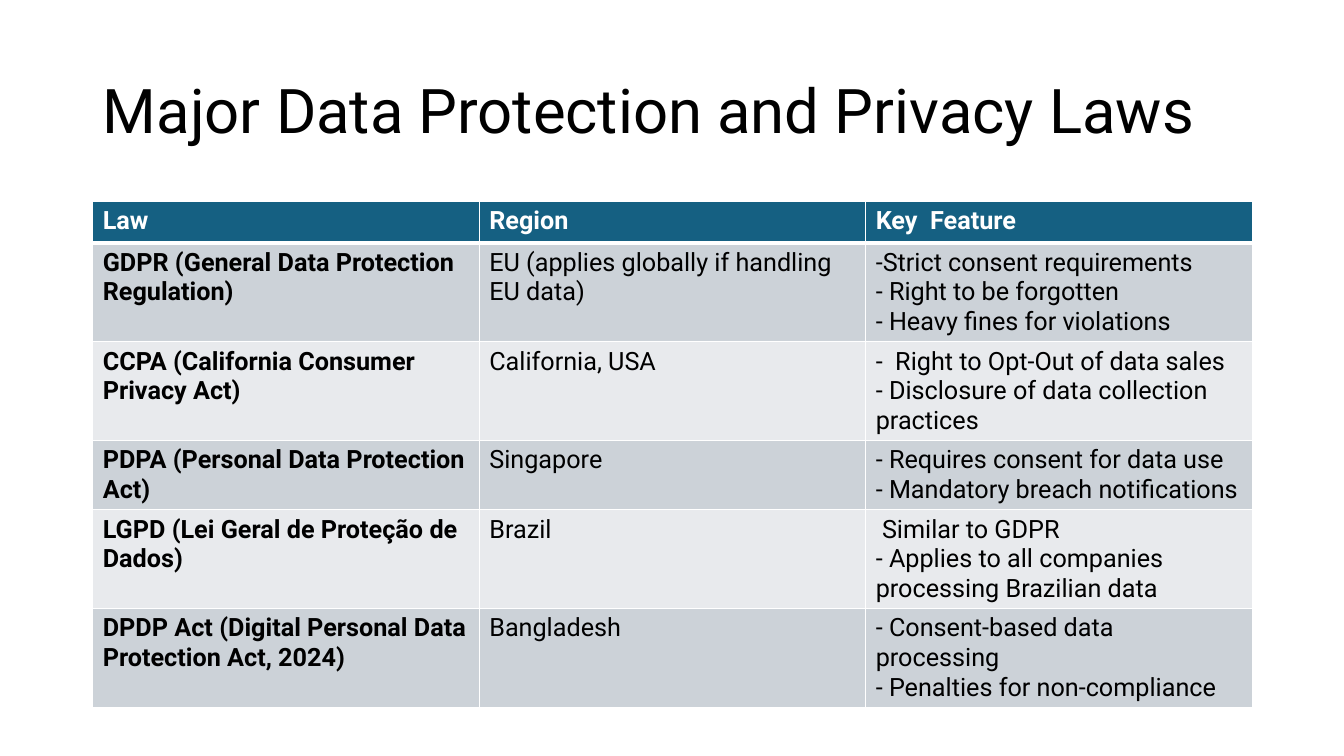
"""Build a slide with a table of major data protection and privacy laws."""
from dataclasses import dataclass

import pptx
import pptx.dml.color
import pptx.enum.text
import pptx.oxml
import pptx.oxml.ns
import pptx.util
from lxml import etree

Inches = pptx.util.Inches
Pt = pptx.util.Pt
RGBColor = pptx.dml.color.RGBColor

FONT = "Roboto"
BLACK = RGBColor(0x00, 0x00, 0x00)
WHITE = RGBColor(0xFF, 0xFF, 0xFF)
HEADER_BLUE = RGBColor(0x15, 0x60, 0x82)
BAND_DARK = RGBColor(0xCC, 0xD2, 0xD8)
BAND_LIGHT = RGBColor(0xE8, 0xEA, 0xED)

LEFT = Inches(0.92)
WIDTH = Inches(11.5)
ROW_HEIGHT = Inches(0.41)


@dataclass(frozen=True)
class Law:
    name: str
    region: str
    features: str


HEADINGS = Law("Law", "Region", "Key  Feature")
LAWS = [
    Law(
        "GDPR (General Data Protection Regulation)",
        "EU (applies globally if handling EU data)",
        "-Strict consent requirements\n- Right to be forgotten\n- Heavy fines for violations",
    ),
    Law(
        "CCPA (California Consumer Privacy Act)",
        "California, USA",
        "-  Right to Opt-Out of data sales\n- Disclosure of data collection practices",
    ),
    Law(
        "PDPA (Personal Data Protection Act)",
        "Singapore",
        "- Requires consent for data use\n- Mandatory breach notifications",
    ),
    Law(
        "LGPD (Lei Geral de Proteção de Dados)",
        "Brazil",
        " Similar to GDPR\n- Applies to all companies processing Brazilian data",
    ),
    Law(
        "DPDP Act (Digital Personal Data Protection Act, 2024)",
        "Bangladesh",
        "- Consent-based data processing\n- Penalties for non-compliance",
    ),
]


def style_paragraph(paragraph, size: int, color: RGBColor, bold: bool) -> None:
    paragraph.alignment = pptx.enum.text.PP_ALIGN.LEFT
    paragraph.font.name = FONT
    paragraph.font.size = Pt(size)
    paragraph.font.bold = bold
    paragraph.font.color.rgb = color


def set_border(cell, side: str, points: int) -> None:
    qn = pptx.oxml.ns.qn
    properties = cell._tc.get_or_add_tcPr()
    line = etree.Element(qn(f"a:{side}"), w=str(Pt(points)))
    fill = etree.SubElement(line, qn("a:solidFill"))
    etree.SubElement(fill, qn("a:srgbClr"), val=str(WHITE))
    properties.insert(len(properties) - 1, line)


def fill_row(table, row: int, law: Law) -> None:
    is_header = row == 0
    band = HEADER_BLUE if is_header else (BAND_LIGHT, BAND_DARK)[row % 2]
    borders = {"lnL": 1, "lnR": 1, "lnT": 3 if row == 1 else 1, "lnB": 3 if is_header else 1}
    for column, text in enumerate((law.name, law.region, law.features)):
        cell = table.cell(row, column)
        cell.fill.solid()
        cell.fill.fore_color.rgb = band
        for side, points in borders.items():
            set_border(cell, side, points)
        paragraph = cell.text_frame.paragraphs[0]
        paragraph.text = text
        style_paragraph(paragraph, 18, WHITE if is_header else BLACK, is_header or column == 0)


def add_title(slide) -> None:
    title = slide.shapes.title
    title.left, title.top, title.width, title.height = LEFT, Inches(0.4), WIDTH, Inches(1.45)
    title.text_frame.vertical_anchor = pptx.enum.text.MSO_ANCHOR.MIDDLE
    paragraph = title.text_frame.paragraphs[0]
    paragraph.text = "Major Data Protection and Privacy Laws"
    paragraph.line_spacing = 0.9
    style_paragraph(paragraph, 44, BLACK, False)


def add_laws_table(slide) -> None:
    rows = [HEADINGS, *LAWS]
    frame = slide.shapes.add_table(len(rows), 3, LEFT, Inches(2), WIDTH, ROW_HEIGHT * len(rows))
    frame.table.first_col = True
    for row, law in enumerate(rows):
        frame.table.rows[row].height = ROW_HEIGHT
        fill_row(frame.table, row, law)


def main() -> None:
    presentation = pptx.Presentation()
    presentation.slide_width = Inches(13.33)
    presentation.slide_height = Inches(7.5)
    slide = presentation.slides.add_slide(presentation.slide_layouts[5])
    add_title(slide)
    add_laws_table(slide)
    presentation.save("out.pptx")


if __name__ == "__main__":
    main()
